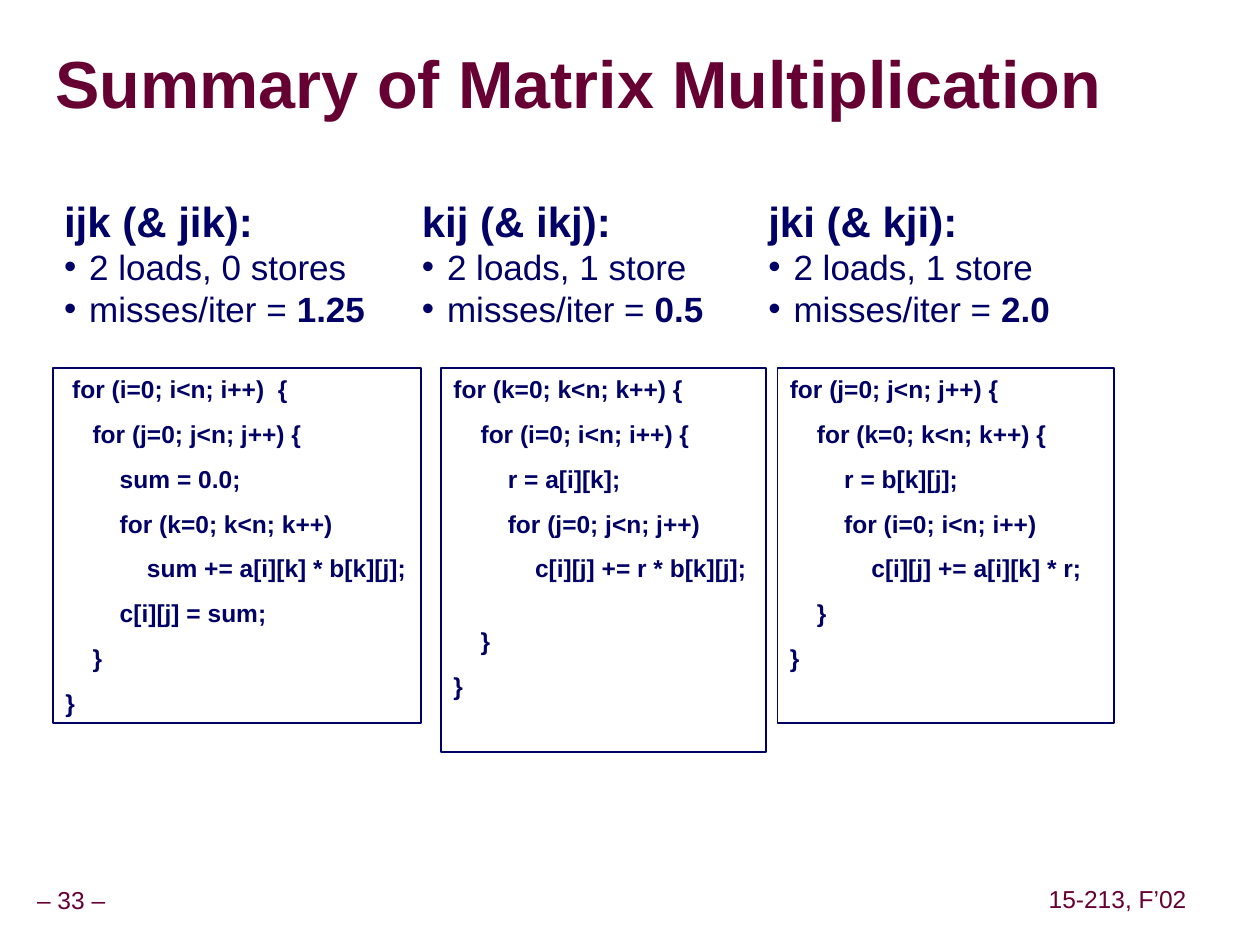
from lxml import etree
from pptx import Presentation
from pptx import util as u
from pptx.dml.color import RGBColor
from pptx.enum import shapes, text
from pptx.oxml.ns import qn

COLORS = {"maroon": "660033", "navy": "000066", "shadow": "999999"}

VARIANTS = [
    {
        "name": "ijk (& jik):", "stores": "2 loads, 0 stores", "misses": "1.25",
        "summary": (0.41, 2.69), "frame": (0.42, 2.92, 2.82),
        "code": [
            " for (i=0; i<n; i++)  {",
            "    for (j=0; j<n; j++) {",
            "        sum = 0.0;",
            "        for (k=0; k<n; k++)",
            "            sum += a[i][k] * b[k][j];",
            "        c[i][j] = sum;",
            "    }",
            "}",
        ],
    },
    {
        "name": "kij (& ikj):", "stores": "2 loads, 1 store", "misses": "0.5",
        "summary": (3.25, 2.53), "frame": (3.5, 2.58, 3.05), "gap_before": {5: 24.9},
        "code": [
            "for (k=0; k<n; k++) {",
            "    for (i=0; i<n; i++) {",
            "        r = a[i][k];",
            "        for (j=0; j<n; j++)",
            "            c[i][j] += r * b[k][j];",
            "    }",
            "}",
        ],
    },
    {
        "name": "jki (& kji):", "stores": "2 loads, 1 store", "misses": "2.0",
        "summary": (6, 2.53), "frame": (6.17, 2.67, 2.82),
        "code": [
            "for (j=0; j<n; j++) {",
            "    for (k=0; k<n; k++) {",
            "        r = b[k][j];",
            "        for (i=0; i<n; i++)",
            "            c[i][j] += a[i][k] * r;",
            "    }",
            "}",
        ],
    },
]


class Deck:
    font = "Arial"
    summary_top, summary_height = 1.5, 1.16
    code_top, code_gap = 2.92, 8.8

    def __init__(self):
        self.prs = Presentation()
        self.prs.slide_width, self.prs.slide_height = u.Inches(10), u.Inches(7.5)
        self.slide = self.prs.slides.add_slide(self.prs.slide_layouts[5])

    def color(self, name):
        return RGBColor.from_string(COLORS[name])

    def run(self, paragraph, words, size, color="navy", bold=False):
        run = paragraph.add_run()
        run.text = words
        run.font.size, run.font.bold, run.font.name = u.Pt(size), bold, self.font
        run.font.color.rgb = self.color(color)
        return run

    def frame(self, shape, margins, anchor, wrap):
        body = shape.text_frame
        side, edge = (u.Inches(m) for m in margins)
        body.margin_left = body.margin_right = side
        body.margin_top = body.margin_bottom = edge
        body.vertical_anchor, body.word_wrap = anchor, wrap
        body.auto_size = text.MSO_AUTO_SIZE.NONE
        return body

    def textbox(self, box, margins, anchor):
        shape = self.slide.shapes.add_textbox(*map(u.Inches, box))
        return self.frame(shape, margins, anchor, False)

    def title(self, words):
        heading = self.slide.shapes.title
        heading.left, heading.top = u.Inches(0.44), u.Inches(0.27)
        heading.width, heading.height = u.Inches(9.53), u.Inches(0.85)
        body = self.frame(heading, (0, 0), text.MSO_ANCHOR.MIDDLE, True)
        line = body.paragraphs[0]
        line.alignment, line.line_spacing = text.PP_ALIGN.LEFT, 0.87
        run = self.run(line, words, 38, "maroon", True)
        effects = etree.Element(qn("a:effectLst"))
        shadow = etree.SubElement(effects, qn("a:outerShdw"), dist="38100", dir="2700000")
        etree.SubElement(shadow, qn("a:srgbClr"), val=COLORS["shadow"])
        run.font._element.find(qn("a:solidFill")).addnext(effects)

    def footer(self, box, words):
        body = self.textbox(box, (0.05, 0.05), text.MSO_ANCHOR.MIDDLE)
        line = body.paragraphs[0]
        line.alignment, line.line_spacing = text.PP_ALIGN.CENTER, 0.9
        self.run(line, words, 14, "maroon")

    def bullet(self, body):
        line = body.add_paragraph()
        props = line._p.get_or_add_pPr()
        indent = u.Inches(0.2)
        props.set("marL", str(indent))
        props.set("indent", str(-indent))
        tint = etree.SubElement(props, qn("a:buClr"))
        etree.SubElement(tint, qn("a:srgbClr"), val=COLORS["navy"])
        etree.SubElement(props, qn("a:buFont"), typeface=self.font)
        etree.SubElement(props, qn("a:buChar"), char="•")
        return line

    def summary(self, variant):
        left, width = variant["summary"]
        body = self.textbox((left, self.summary_top, width, self.summary_height),
                            (0.1, 0.05), text.MSO_ANCHOR.TOP)
        self.run(body.paragraphs[0], variant["name"], 24, bold=True)
        self.run(self.bullet(body), variant["stores"], 20)
        misses = self.bullet(body)
        self.run(misses, "misses/iter = ", 20)
        self.run(misses, variant["misses"], 20, bold=True)

    def code(self, variant):
        left, width, height = variant["frame"]
        listing = self.slide.shapes.add_shape(
            shapes.MSO_SHAPE.RECTANGLE,
            *map(u.Inches, (left, self.code_top, width, height)))
        listing.shadow.inherit = False
        listing.fill.background()
        listing.line.color.rgb, listing.line.width = self.color("navy"), u.Pt(1)
        body = self.frame(listing, (0.1, 0.05), text.MSO_ANCHOR.TOP, True)
        gaps = variant.get("gap_before", {})
        for index, words in enumerate(variant["code"]):
            line = body.add_paragraph() if index else body.paragraphs[0]
            line.alignment = text.PP_ALIGN.LEFT
            if index:
                line.space_before = u.Pt(gaps.get(index, self.code_gap))
            self.run(line, words, 14, bold=True)


def main():
    deck = Deck()
    deck.footer((0.1, 7, 0.93, 0.31), "– 33 –")
    deck.footer((8.27, 6.99, 1.2, 0.31), "15-213, F’02")
    deck.title("Summary of Matrix Multiplication")
    for variant in VARIANTS:
        deck.code(variant)
        deck.summary(variant)
    deck.prs.save("out.pptx")


if __name__ == "__main__":
    main()
